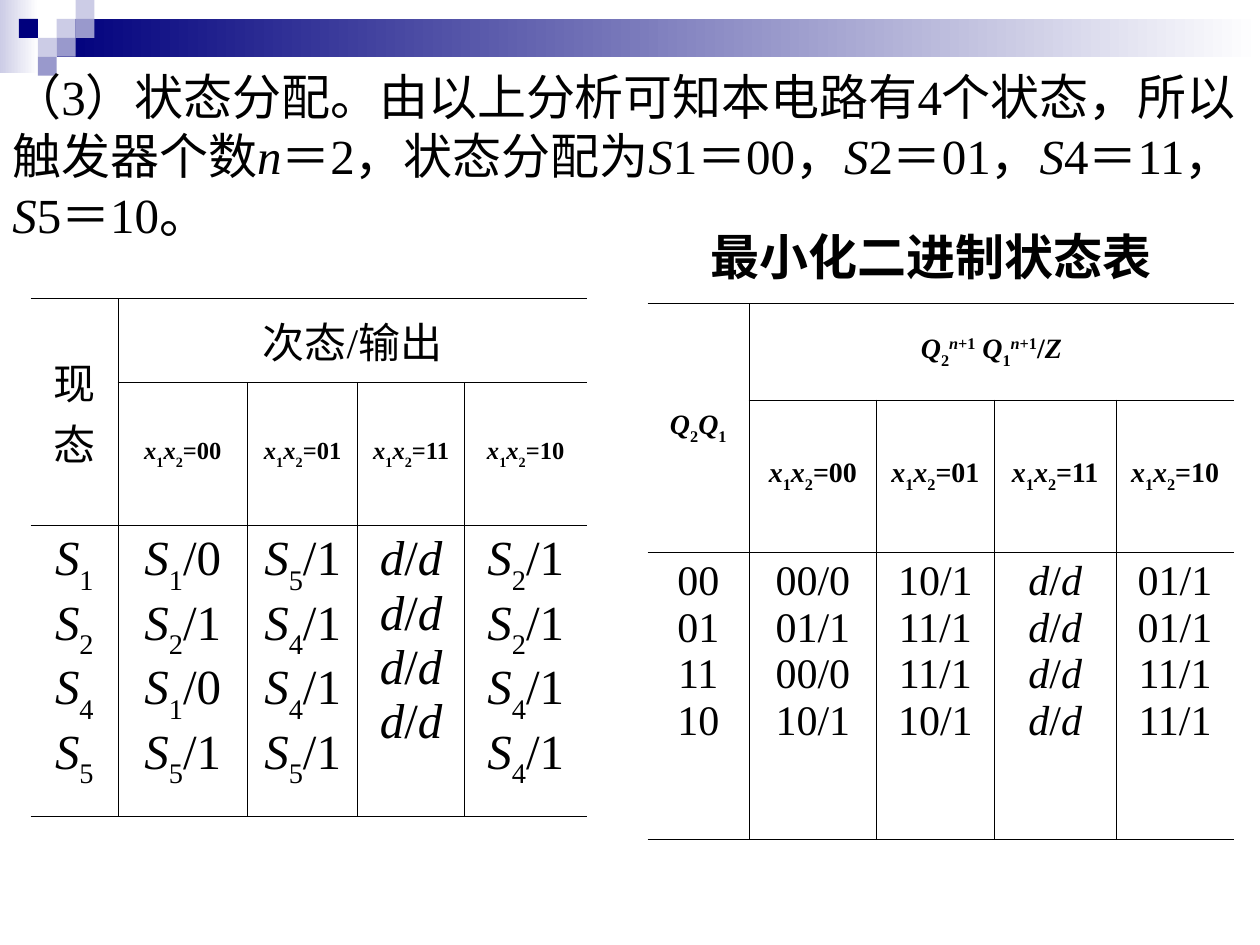
from itertools import groupby

from lxml import etree
from pptx import Presentation
from pptx.dml.color import RGBColor
from pptx.enum.shapes import MSO_SHAPE
from pptx.enum.text import MSO_ANCHOR, MSO_AUTO_SIZE, PP_ALIGN
from pptx.oxml.ns import qn
from pptx.util import Pt

RECT = MSO_SHAPE.RECTANGLE
MIDDLE, TOP = MSO_ANCHOR.MIDDLE, MSO_ANCHOR.TOP
CENTER, LEFT = PP_ALIGN.CENTER, PP_ALIGN.LEFT
FIT_SHAPE = MSO_AUTO_SIZE.SHAPE_TO_FIT_TEXT

FONT = "Times New Roman"
COLORS = {"ink": "000000", "white": "FFFFFF", "navy": "00007D",
          "mid": "9999CC", "pale": "CCCCE6"}
BASELINES = {"_": "-30000", "^": "30000"}
BORDER = Pt(0.45)


def color(name):
    return RGBColor.from_string(COLORS[name])


def styled_letters(text):
    """Yield (letter, italic, baseline); "_" lowers and "^" raises the next letter."""
    baseline = None
    for letter in text:
        if letter in BASELINES:
            baseline = BASELINES[letter]
            continue
        yield letter, letter.isascii() and letter.isalpha(), baseline
        baseline = None


def write_lines(frame, lines, size, bold=False, align=LEFT):
    """Write one paragraph a line, with Latin letters in italics."""
    for index, line in enumerate(lines):
        paragraph = frame.add_paragraph() if index else frame.paragraphs[0]
        paragraph.alignment = align
        paragraph.font.name = FONT
        paragraph.font.size = Pt(size)
        paragraph.font.bold = bold
        paragraph.font.color.rgb = color("ink")
        for (italic, baseline), group in groupby(styled_letters(line), lambda s: s[1:]):
            run = paragraph.add_run()
            run.text = "".join(letter for letter, *_ in group)
            if italic:
                run.font.italic = True
            if baseline:
                run._r.get_or_add_rPr().set("baseline", baseline)


def add_text(slide, box, text, size, bold=False, wrap=True):
    frame = slide.shapes.add_textbox(*map(Pt, box)).text_frame
    frame.word_wrap = wrap
    frame.auto_size = FIT_SHAPE
    frame.vertical_anchor = MIDDLE
    write_lines(frame, [text], size, bold)


def add_block(slide, box, tint, fade=False):
    """Add a borderless block, plain or fading to white on the right."""
    block = slide.shapes.add_shape(RECT, *map(Pt, box))
    block.shadow.inherit = False
    block.line.fill.background()
    if fade:
        block.fill.gradient()
        block.fill.gradient_angle = 180
        for stop, name in zip(block.fill.gradient_stops, ("white", tint)):
            stop.color.rgb = color(name)
    else:
        block.fill.solid()
        block.fill.fore_color.rgb = color(tint)


def add_banner(slide, left, top, width):
    unit = 10.8
    add_block(slide, (left, top, 22, 42), "pale", fade=True)
    add_block(slide, (left + 3 * unit, top + unit, width - 3 * unit, 2 * unit),
              "navy", fade=True)
    squares = [(3, 1, "pale"), (4, 0, "pale"), (4, 1, "mid"), (2, 2, "pale"),
               (1, 1, "navy"), (3, 2, "mid"), (2, 3, "mid")]
    for column, row, tint in squares:
        add_block(slide, (left + column * unit, top + row * unit, unit, unit), tint)


def set_borders(cell, sides):
    """Draw a thin line on each side marked True and none on the others."""
    properties = cell._tc.get_or_add_tcPr()
    for side, drawn in sides.items():
        line = etree.SubElement(properties, qn(f"a:ln{side}"), w=str(BORDER))
        if drawn:
            fill = etree.SubElement(line, qn("a:solidFill"))
            etree.SubElement(fill, qn("a:srgbClr"), val=COLORS["ink"])
        else:
            etree.SubElement(line, qn("a:noFill"))


def add_state_table(slide, left, top, widths, heights, state_head, next_head,
                    columns, head_size, input_size, body_size, head_bold):
    """Add a state table: merged heads, four input columns, and state columns."""
    table = slide.shapes.add_table(
        len(heights), len(widths), Pt(left), Pt(top),
        Pt(sum(widths)), Pt(sum(heights))).table
    table.first_row = table.horz_banding = False
    for column, width in zip(table.columns, widths):
        column.width = Pt(width)
    for row, height in zip(table.rows, heights):
        row.height = Pt(height)

    last = len(widths) - 1
    for r in range(len(heights)):
        for c in range(len(widths)):
            cell = table.cell(r, c)
            set_borders(cell, {
                "L": c > 0 and not (r == 0 and c > 1),
                "R": c < last and not (r == 0 and c > 0),
                "T": (r, c) != (1, 0),
                "B": (r, c) != (0, 0),
            })
            cell.fill.background()
            cell.vertical_anchor = TOP if r == 2 else MIDDLE
    table.cell(0, 0).merge(table.cell(1, 0))
    table.cell(0, 1).merge(table.cell(0, last))

    for c, head in enumerate((state_head, next_head)):
        write_lines(table.cell(0, c).text_frame, [head], head_size, head_bold, CENTER)
    for c, inputs in enumerate(("00", "01", "11", "10"), start=1):
        write_lines(table.cell(1, c).text_frame, [f"x_1x_2={inputs}"],
                    input_size, True, CENTER)
    for c, entries in enumerate(columns):
        write_lines(table.cell(2, c).text_frame, entries.split(), body_size,
                    align=CENTER)


def main():
    deck = Presentation()
    deck.slide_width, deck.slide_height = Pt(720), Pt(540)
    slide = deck.slides.add_slide(deck.slide_layouts[6])

    add_banner(slide, 0, 0, 720)
    add_text(slide, (0, 34.5, 720, 108),
             "（3）状态分配。由以上分析可知本电路有4个状态，所以触发器个数n＝2，"
             "状态分配为S1＝00，S2＝01，S4＝11，S5＝10。", 28)
    add_state_table(
        slide, 370, 173.5, (58, 73, 67, 70, 67), (55, 87, 164),
        "Q_2Q_1", "Q_2^n^+^1 Q_1^n^+^1/Z",
        ("00 01 11 10", "00/0 01/1 00/0 10/1", "10/1 11/1 11/1 10/1",
         "d/d d/d d/d d/d", "01/1 01/1 11/1 11/1"),
        head_size=16, input_size=16, body_size=24, head_bold=True)
    add_text(slide, (399, 126, 272, 41), "最小化二进制状态表", 28, bold=True, wrap=False)
    add_state_table(
        slide, 17.5, 170.5, (50, 74, 63, 61, 70), (48, 82, 166),
        "现态", "次态/输出",
        ("S_1 S_2 S_4 S_5", "S_1/0 S_2/1 S_1/0 S_5/1", "S_5/1 S_4/1 S_4/1 S_5/1",
         "d/d d/d d/d d/d", "S_2/1 S_2/1 S_4/1 S_4/1"),
        head_size=24, input_size=14, body_size=28, head_bold=False)

    deck.save("out.pptx")


if __name__ == "__main__":
    main()
